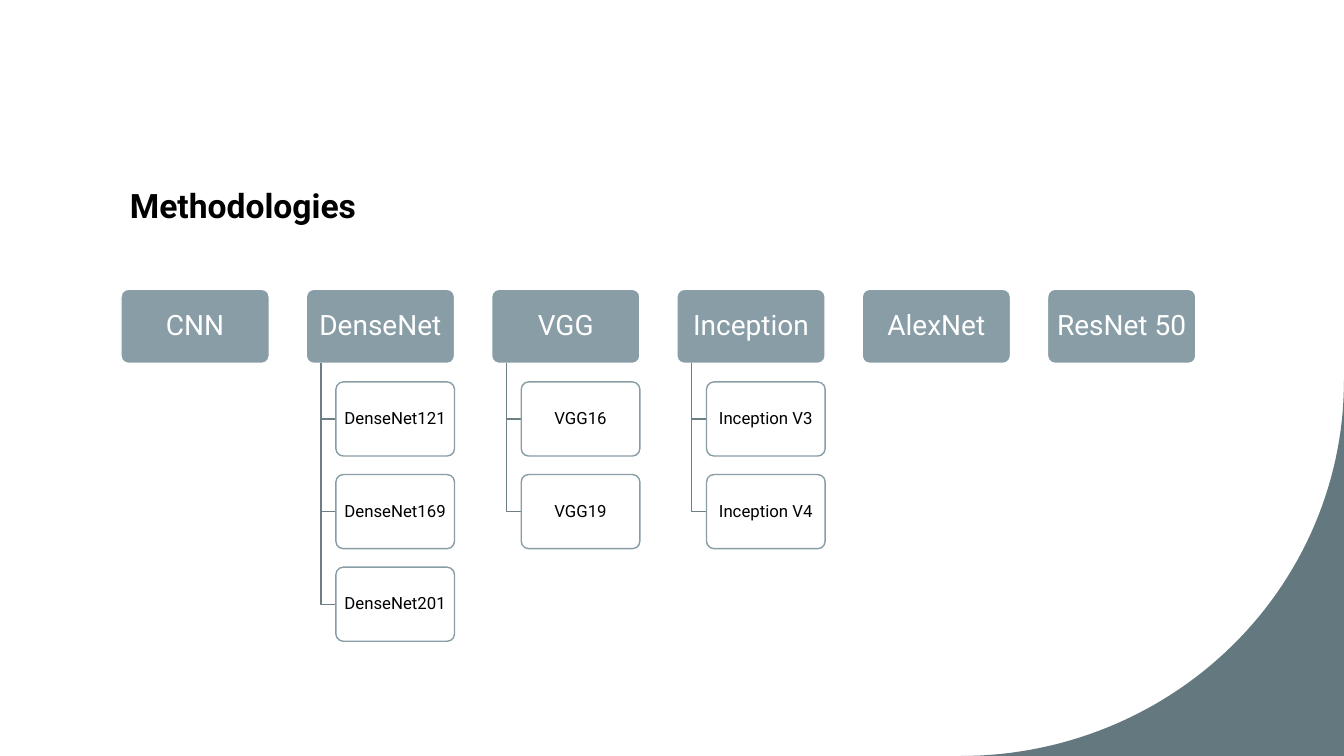
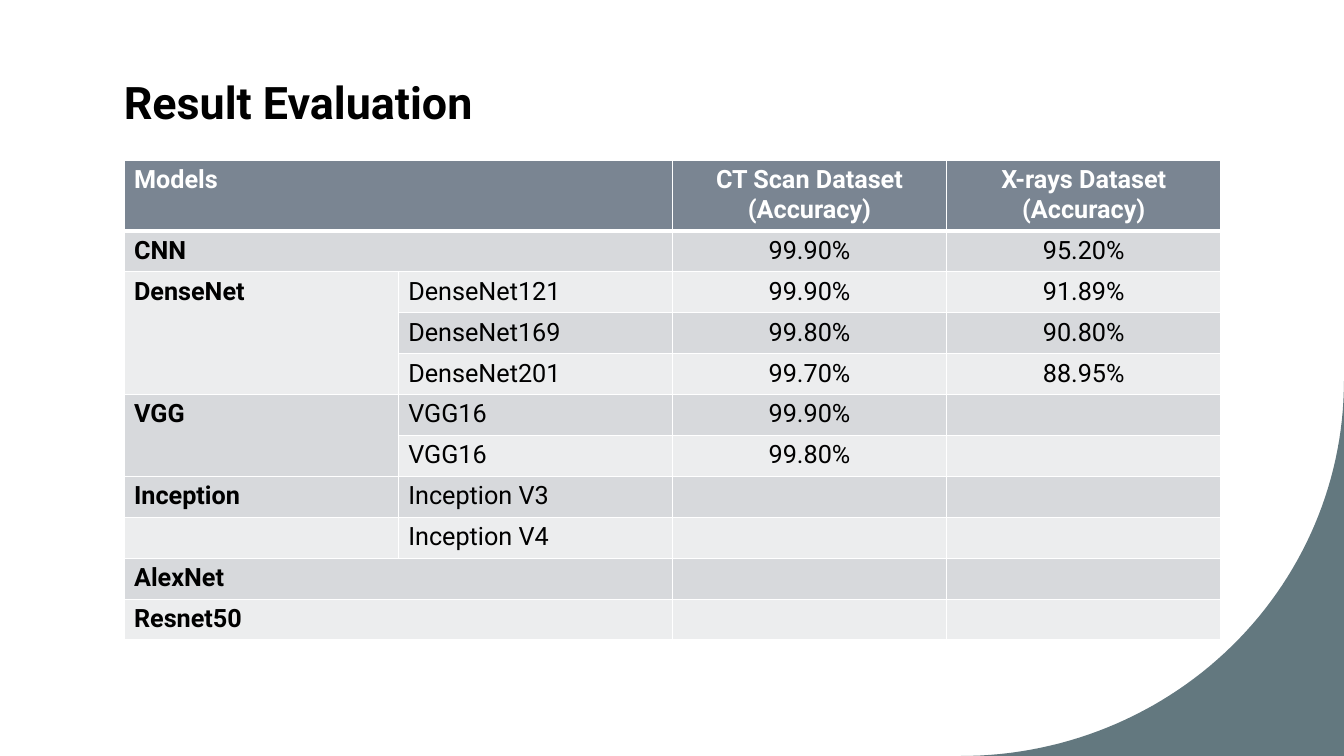
import math

import pptx
import pptx.dml.color
import pptx.enum.shapes
import pptx.enum.text
import pptx.oxml
import pptx.oxml.ns
import pptx.util

Inches = pptx.util.Inches
Pt = pptx.util.Pt
ALIGN = pptx.enum.text.PP_ALIGN
ANCHOR = pptx.enum.text.MSO_ANCHOR

SLIDE_W, SLIDE_H = 13.33, 7.5
FONT = "Roboto"
BLACK, WHITE = "000000", "FFFFFF"
CORNER, NODE, BRANCH = "63787F", "889DA5", "6D7E84"
HEADER, BAND_DARK, BAND_LIGHT = "7A8592", "D7D9DC", "ECEDEE"

METHODS = {
    "CNN": [],
    "DenseNet": ["DenseNet121", "DenseNet169", "DenseNet201"],
    "VGG": ["VGG16", "VGG19"],
    "Inception": ["Inception V3", "Inception V4"],
    "AlexNet": [],
    "ResNet 50": [],
}

RESULTS = [
    ("Models", "", "CT Scan Dataset (Accuracy)", "X-rays Dataset\n(Accuracy)"),
    ("CNN", "", "99.90%", "95.20%"),
    ("DenseNet", "DenseNet121", "99.90%", "91.89%"),
    ("", "DenseNet169", "99.80%", "90.80%"),
    ("", "DenseNet201", "99.70%", "88.95%"),
    ("VGG", "VGG16", "99.90%", ""),
    ("", "VGG16", "99.80%", ""),
    ("Inception", "Inception V3", "", ""),
    ("", "Inception V4", "", ""),
    ("AlexNet", "", "", ""),
    ("Resnet50", "", "", ""),
]
# First and last (row, column) of each merged area
MERGED = [((row, 0), (row, 1)) for row in (0, 1, 9, 10)]
MERGED += [((2, 0), (4, 0)), ((5, 0), (6, 0))]


def rgb(value):
    return pptx.dml.color.RGBColor.from_string(value)


def apply(target, formats):
    for name, value in formats.items():
        setattr(target, name, value)


def set_text(frame, text, size, color, bold=False, align=ALIGN.LEFT, spacing=None):
    frame.text = text
    for paragraph in frame.paragraphs:
        apply(paragraph, {"alignment": align, "line_spacing": spacing})
        apply(paragraph.font, {"name": FONT, "size": Pt(size), "bold": bold})
        paragraph.font.color.rgb = rgb(color)


def style_shape(shape, fill=None, line=None):
    shape.shadow.inherit = False
    if fill:
        shape.fill.solid()
        shape.fill.fore_color.rgb = rgb(fill)
    else:
        shape.fill.background()
    if line:
        shape.line.color.rgb = rgb(line)
        shape.line.width = Pt(1)
    else:
        shape.line.fill.background()


def add_outline(slide, points, close):
    (first_x, first_y), *rest = [(Inches(x), Inches(y)) for x, y in points]
    builder = slide.shapes.build_freeform(first_x, first_y)
    builder.add_line_segments(rest, close=close)
    return builder.convert_to_shape()


def add_corner(slide, width=3.8, height=3.72, steps=60):
    """Fill the bottom right corner outside a quarter ellipse."""
    left, top = SLIDE_W - width, SLIDE_H - height
    angles = [math.pi / 2 * step / steps for step in range(steps + 1)]
    curve = [(left + width * math.cos(a), top + height * math.sin(a)) for a in angles]
    corner = add_outline(slide, curve + [(SLIDE_W, SLIDE_H)], close=True)
    style_shape(corner, fill=CORNER)


def add_title(slide, text, box, size, anchor):
    title = slide.shapes.add_textbox(*map(Inches, box))
    apply(title.text_frame, {"word_wrap": True, "vertical_anchor": anchor})
    set_text(title.text_frame, text, size, BLACK, bold=True, spacing=1.1)


def add_node(slide, text, box, size, color, fill, line):
    node = slide.shapes.add_shape(
        pptx.enum.shapes.MSO_SHAPE.ROUNDED_RECTANGLE, *map(Inches, box))
    node.adjustments[0] = 0.1
    style_shape(node, fill, line)
    inset = Inches(0.05)
    apply(node.text_frame, {
        "word_wrap": True, "vertical_anchor": ANCHOR.MIDDLE,
        "margin_left": inset, "margin_right": inset,
        "margin_top": inset, "margin_bottom": inset})
    set_text(node.text_frame, text, size, color, align=ALIGN.CENTER, spacing=0.9)


def add_method(slide, name, variants, left, top, width):
    """Draw a method with its variants hanging below it."""
    height = width / 2
    add_node(slide, name, (left, top, width, height), 20, WHITE, NODE, WHITE)
    trunk_x, variant_x = left + 0.1 * width, left + 0.2 * width
    for index, variant in enumerate(variants, start=1):
        variant_y = top + index * 1.25 * height
        middle = variant_y + height / 2
        branch = add_outline(slide, [(trunk_x, top + height), (trunk_x, middle),
                                     (variant_x, middle)], close=False)
        style_shape(branch, line=BRANCH)
        add_node(slide, variant, (variant_x, variant_y, 0.8 * width, height),
                 12, BLACK, WHITE, NODE)


def add_methods(slide, left, top, width):
    node_width = width / (1.25 * len(METHODS) - 0.25)
    for index, (name, variants) in enumerate(METHODS.items()):
        add_method(slide, name, variants, left + index * 1.25 * node_width,
                   top, node_width)


def set_borders(cell, widths):
    """Draw white borders, with widths in points keyed by side."""
    properties = cell._tc.get_or_add_tcPr()
    for position, side in enumerate("LRTB"):
        border = pptx.oxml.parse_xml(
            f'<a:ln{side} {pptx.oxml.ns.nsdecls("a")} w="{Pt(widths.get(side, 1))}">'
            f'<a:solidFill><a:srgbClr val="{WHITE}"/></a:solidFill></a:ln{side}>')
        properties.insert(position, border)


def add_results(slide, left, top, width, header_height, body_height):
    rows, columns = len(RESULTS), len(RESULTS[0])
    table = slide.shapes.add_table(
        rows, columns, Inches(left), Inches(top), Inches(width),
        Inches(header_height + body_height)).table
    for column in table.columns:
        column.width = Inches(width / columns)
    for r, values in enumerate(RESULTS):
        is_header = r == 0
        table.rows[r].height = Inches(
            header_height if is_header else body_height / (rows - 1))
        band = HEADER if is_header else BAND_DARK if r % 2 else BAND_LIGHT
        for c, value in enumerate(values):
            cell = table.cell(r, c)
            set_text(cell.text_frame, value, 18, WHITE if is_header else BLACK,
                     bold=is_header or c == 0,
                     align=ALIGN.CENTER if c > 1 else ALIGN.LEFT)
            cell.fill.solid()
            cell.fill.fore_color.rgb = rgb(band)
            set_borders(cell, {0: {"B": 3}, 1: {"T": 3}}.get(r, {}))
    for first, last in MERGED:
        table.cell(*first).merge(table.cell(*last))


def new_slide(deck):
    slide = deck.slides.add_slide(deck.slide_layouts[6])
    slide.background.fill.solid()
    slide.background.fill.fore_color.rgb = rgb(WHITE)
    add_corner(slide)
    return slide


def add_methodologies_slide(deck):
    slide = new_slide(deck)
    add_title(slide, "Methodologies", (1.19, 1.75, 2.88, 3.46), 24, ANCHOR.TOP)
    add_methods(slide, left=1.2, top=2.87, width=10.66)


def add_evaluation_slide(deck):
    slide = new_slide(deck)
    add_title(slide, "Result Evaluation", (1.13, 0.62, 11.07, 0.7), 32, ANCHOR.BOTTOM)
    add_results(slide, left=1.23, top=1.59, width=10.88,
                header_height=0.68, body_height=4.06)


def main():
    deck = pptx.Presentation()
    apply(deck, {"slide_width": Inches(SLIDE_W), "slide_height": Inches(SLIDE_H)})
    add_methodologies_slide(deck)
    add_evaluation_slide(deck)
    deck.save("out.pptx")


if __name__ == "__main__":
    main()
